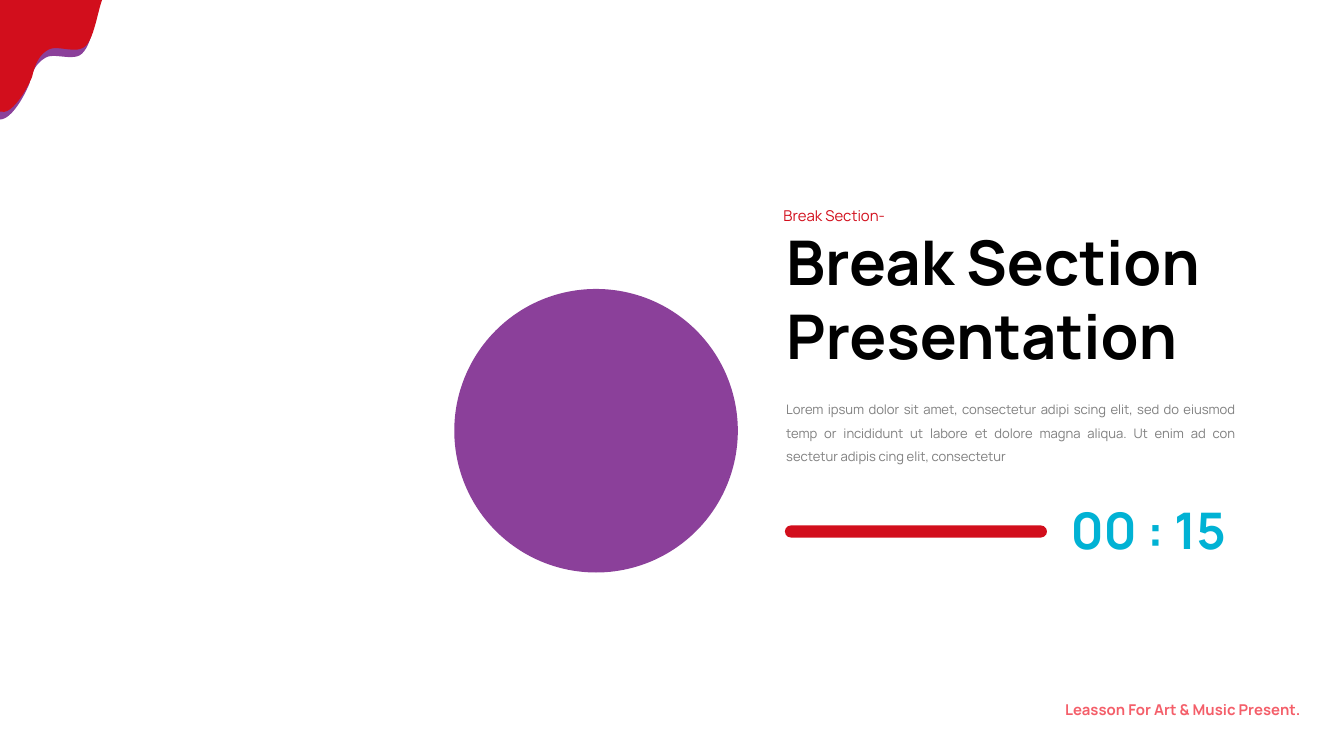
from lxml.etree import SubElement
from pptx import Presentation
from pptx.dml.color import RGBColor
from pptx.enum.shapes import MSO_SHAPE
from pptx.enum.text import MSO_ANCHOR, MSO_AUTO_SIZE, PP_ALIGN
from pptx.oxml.ns import qn
from pptx.util import Inches, Pt

W = 10
H = W * 9 / 16
TEXT_LEFT = 0.575  # shared left edge of the text column, share of slide width
FONT = "Manrope"
COLORS = {
    "purple": "8B409A",
    "red": "D20E1C",
    "pink": "F45E69",
    "cyan": "01B2D4",
    "black": "000000",
    "gray": "7F7F7F",
}

# Corner drips: start point, then cubic segments (control, control, end) in inches
PURPLE_DRIP = ((0.73, 0.06), [
    ((0.71, 0.14), (0.68, 0.34), (0.61, 0.40)),
    ((0.55, 0.46), (0.40, 0.39), (0.34, 0.43)),
    ((0.27, 0.47), (0.24, 0.53), (0.22, 0.62)),
    ((0.19, 0.70), (0.09, 0.89), (0, 0.89)),
])
RED_DRIP = ((0.76, 0), [
    ((0.73, 0.08), (0.70, 0.28), (0.64, 0.34)),
    ((0.57, 0.41), (0.43, 0.33), (0.36, 0.37)),
    ((0.29, 0.41), (0.26, 0.48), (0.24, 0.57)),
    ((0.21, 0.65), (0.09, 0.86), (0.01, 0.83)),
])


def box(left, top, width, height):
    """Turn shares of the slide's size into lengths."""
    return (Inches(left * W), Inches(top * H),
            Inches(width * W), Inches(height * H))


def paint(sp, color):
    sp.shadow.inherit = False
    sp.fill.solid()
    sp.fill.fore_color.rgb = RGBColor.from_string(COLORS[color])
    sp.line.fill.background()


def add_block(s, kind, area, color):
    sp = s.shapes.add_shape(kind, *area)
    paint(sp, color)
    return sp


def curve_points(start, segments, steps=12):
    points = [start]
    for c1, c2, end in segments:
        p0 = points[-1]
        for i in range(1, steps + 1):
            t = i / steps
            u = 1 - t
            points.append(tuple(
                u**3 * a + 3 * u * u * t * b + 3 * u * t * t * c + t**3 * d
                for a, b, c, d in zip(p0, c1, c2, end)))
    return points


def add_drip(s, start, segments, color):
    points = curve_points(start, segments)
    points.append((0, points[-1][1]))
    builder = s.shapes.build_freeform(0, Inches(start[1]))
    builder.add_line_segments([(Inches(x), Inches(y)) for x, y in points])
    paint(builder.convert_to_shape(), color)


def write(sp, *lines, size, color, bold=False, align=PP_ALIGN.LEFT,
          spacing=1.0, inset=0.1):
    tf = sp.text_frame
    tf.word_wrap = True
    tf.auto_size = MSO_AUTO_SIZE.NONE
    tf.vertical_anchor = MSO_ANCHOR.TOP
    tf.margin_left = tf.margin_right = Inches(inset)
    tf.margin_top = tf.margin_bottom = Inches(inset / 2)
    for i, line in enumerate(lines):
        p = tf.add_paragraph() if i else tf.paragraphs[0]
        p.alignment = align
        p.line_spacing = spacing
        p.space_before = Pt(0)
        pPr = p._p.get_or_add_pPr()
        pPr.set("marL", "0")
        pPr.set("indent", "0")
        SubElement(pPr, qn("a:buNone"))
        r = p.add_run()
        r.text = line
        r.font.name = FONT
        r.font.size = Pt(size)
        r.font.bold = bold
        r.font.color.rgb = RGBColor.from_string(COLORS[color])


def place(sp, area):
    sp.left, sp.top, sp.width, sp.height = area
    return sp


def main():
    prs = Presentation()
    prs.slide_width, prs.slide_height = Inches(W), Inches(H)
    s = prs.slides.add_slide(prs.slide_layouts[1])

    # Circle and corner drips
    add_block(s, MSO_SHAPE.OVAL,
              (Inches(3.38), Inches(2.15), Inches(2.11), Inches(2.11)), "purple")
    add_drip(s, *PURPLE_DRIP, "purple")
    add_drip(s, *RED_DRIP, "red")

    # Heading and description
    write(place(s.shapes.title, box(TEXT_LEFT, 0.287, 0.332, 0.311)),
          "Break Section", "Presentation", size=33, color="black", bold=True)
    write(place(s.placeholders[1], box(TEXT_LEFT, 0.512, 0.354, 0.112)),
          "Lorem ipsum dolor sit amet, consectetur adipi scing elit, sed do "
          "eiusmod temp or incididunt ut labore et dolore magna aliqua. Ut enim "
          "ad con sectetur adipis cing elit, consectetur",
          size=7, color="gray", align=PP_ALIGN.JUSTIFY, spacing=1.5)

    # Section label and footer
    write(s.shapes.add_textbox(*box(TEXT_LEFT, 0.254, 0.126, 0.048)),
          "Break Section-", size=8, color="red", align=PP_ALIGN.JUSTIFY,
          spacing=1.5, inset=0.08)
    write(s.shapes.add_textbox(*box(0.695, 0.908, 0.281, 0.048)),
          "Leasson For Art & Music Present.", size=8, color="pink", bold=True,
          align=PP_ALIGN.RIGHT, spacing=1.5, inset=0.08)

    # Countdown with its progress bar
    write(s.shapes.add_textbox(*box(0.741, 0.651, 0.181, 0.098)),
          "00 : 15", size=27, color="cyan", bold=True, align=PP_ALIGN.RIGHT)
    bar = add_block(s, MSO_SHAPE.ROUNDED_RECTANGLE,
                    box(0.584, 0.695, 0.195, 0.016), "red")
    bar.adjustments[0] = 0.5

    prs.save("out.pptx")


if __name__ == "__main__":
    main()
